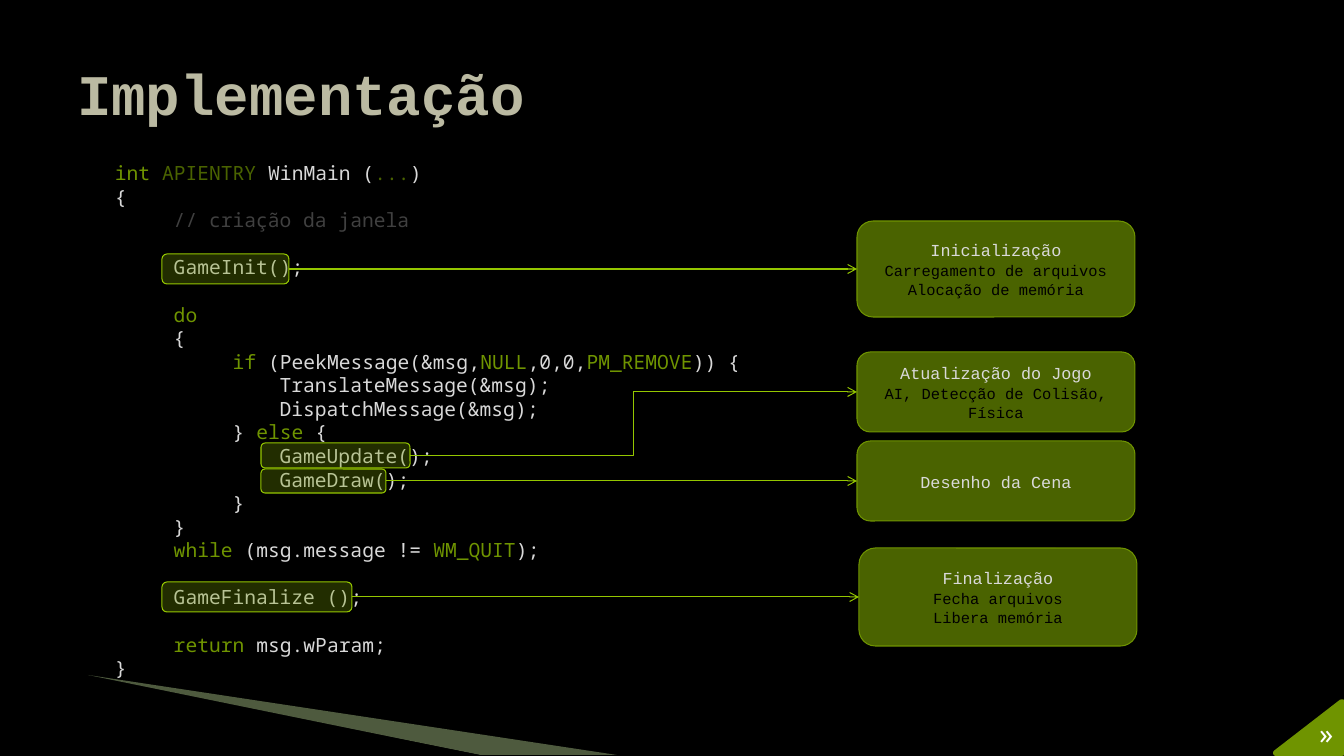
from lxml.etree import SubElement
from pptx import Presentation
from pptx.dml.color import RGBColor
from pptx.enum.shapes import MSO_CONNECTOR as Connector, MSO_SHAPE as Preset
from pptx.enum.text import MSO_ANCHOR as Anchor, PP_ALIGN as Align
from pptx.oxml.ns import qn
from pptx.util import Pt

PX = 914400 / 100.8
TITLE_ONLY = 5
LEFT_SITE, RIGHT_SITE = 1, 3

BLACK = RGBColor(0x00, 0x00, 0x00)
WHITE = RGBColor(0xFF, 0xFF, 0xFF)
SAND = RGBColor(0xBB, 0xBA, 0xA2)
LIGHT = RGBColor(0xD9, 0xD9, 0xD9)
GRAY = RGBColor(0x40, 0x40, 0x40)
GREEN = RGBColor(0x6F, 0x94, 0x00)
DARK_GREEN = RGBColor(0x4A, 0x63, 0x00)
LIME = RGBColor(0x94, 0xC6, 0x00)
PALE_GREEN = RGBColor(0xC3, 0xE1, 0x9D)

TITLE = {"name": "Courier New", "size": Pt(41), "bold": True}
CODE = {"name": "Noto Sans Mono", "size": Pt(14)}
HEADING = {"name": "Courier New", "size": Pt(12)}
DETAIL = {"name": "Courier New", "size": Pt(11)}
MARK = {"name": "Noto Sans Mono", "size": Pt(20)}
CODE_PITCH = Pt(16.84)

CODE_BLOCKS = [
    [
        [("int ", GREEN), ("APIENTRY ", DARK_GREEN), ("WinMain (", LIGHT),
         ("...", DARK_GREEN), (")", LIGHT)],
        [("{", LIGHT)],
        [("     // criação da janela", GRAY)],
    ],
    [[("     GameInit();", LIGHT)]],
    [
        [("     do", GREEN)],
        [("     {", LIGHT)],
        [("          if ", GREEN), ("(PeekMessage(&msg,", LIGHT), ("NULL", GREEN),
         (",0,0,", LIGHT), ("PM_REMOVE", GREEN), (")) {", LIGHT)],
        [("              TranslateMessage(&msg);", LIGHT)],
        [("              DispatchMessage(&msg);", LIGHT)],
        [("          } ", LIGHT), ("else ", GREEN), ("{", LIGHT)],
        [("              GameUpdate();", LIGHT)],
        [("              GameDraw();", LIGHT)],
        [("          }", LIGHT)],
        [("     }", LIGHT)],
        [("     while", GREEN), (" (msg.message != ", LIGHT), ("WM_QUIT", GREEN),
         (");", LIGHT)],
    ],
    [[("     GameFinalize ();", LIGHT)]],
    [
        [("     return ", GREEN), ("msg.wParam;", LIGHT)],
        [("}", LIGHT)],
    ],
]

STAGES = [
    ((162, 254, 127, 30), (857, 221, 278, 96), Connector.STRAIGHT,
     "Inicialização", ["Carregamento de arquivos", "Alocação de memória"]),
    ((261, 443, 149, 25), (857, 352, 278, 80), Connector.ELBOW,
     "Atualização do Jogo", ["AI, Detecção de Colisão, Física"]),
    ((261, 469, 125, 24), (857, 441, 278, 80), Connector.STRAIGHT,
     "Desenho da Cena", []),
    ((162, 582, 190, 30), (859, 548, 278, 98), Connector.STRAIGHT,
     "Finalização", ["Fecha arquivos", "Libera memória"]),
]


def px(*values):
    return [round(value * PX) for value in values]


class SlideBuilder:
    def __init__(self, presentation):
        self.slide = presentation.slides.add_slide(presentation.slide_layouts[TITLE_ONLY])
        self.shapes = self.slide.shapes
        background = self.slide.background.fill
        background.solid()
        background.fore_color.rgb = BLACK

    def add_text(self, paragraph, text, style, color):
        run = paragraph.add_run()
        run.text = text
        for name, value in style.items():
            setattr(run.font, name, value)
        run.font.color.rgb = color

    def paint(self, shape, fill, line=None, weight=0.75, opacity=100):
        shape.shadow.inherit = False
        shape.fill.solid()
        shape.fill.fore_color.rgb = fill
        if opacity < 100:
            color = shape._element.spPr.find(qn("a:solidFill"))[0]
            SubElement(color, qn("a:alpha"), val=str(opacity * 1000))
        if line is None:
            shape.line.fill.background()
        else:
            shape.line.color.rgb = line
            shape.line.width = Pt(weight)

    def title(self, bounds, text):
        shape = self.shapes.title
        for name, value in zip(("left", "top", "width", "height"), px(*bounds)):
            setattr(shape, name, value)
        shape.text_frame.vertical_anchor = Anchor.MIDDLE
        paragraph = shape.text_frame.paragraphs[0]
        paragraph.alignment = Align.LEFT
        self.add_text(paragraph, text, TITLE, SAND)

    def polygon(self, points, fill, **look):
        builder = self.shapes.build_freeform(*points[0], scale=PX)
        builder.add_line_segments(points[1:], close=True)
        self.paint(builder.convert_to_shape(), fill, **look)

    def text_box(self, bounds, wrap=True):
        frame = self.shapes.add_textbox(*px(*bounds)).text_frame
        frame.word_wrap = wrap
        return frame

    def code(self, bounds, blocks):
        frame = self.text_box(bounds)
        paragraph = frame.paragraphs[0]
        for block_index, block in enumerate(blocks):
            for line_index, line in enumerate(block):
                if block_index or line_index:
                    paragraph = frame.add_paragraph()
                if block_index and not line_index:
                    paragraph.space_before = CODE_PITCH
                paragraph.line_spacing = CODE_PITCH
                for text, color in line:
                    self.add_text(paragraph, text, CODE, color)

    def rounded_box(self, bounds, fill, line, opacity=100):
        shape = self.shapes.add_shape(Preset.ROUNDED_RECTANGLE, *px(*bounds))
        self.paint(shape, fill, line, opacity=opacity)
        return shape

    def stage(self, bounds, heading, details):
        shape = self.rounded_box(bounds, DARK_GREEN, GREEN)
        frame = shape.text_frame
        frame.word_wrap = True
        frame.vertical_anchor = Anchor.MIDDLE
        self.add_text(frame.paragraphs[0], heading, HEADING, LIGHT)
        for detail in details:
            self.add_text(frame.add_paragraph(), detail, DETAIL, BLACK)
        for paragraph in frame.paragraphs:
            paragraph.alignment = Align.CENTER
            paragraph.line_spacing = 1.05
        return shape

    def arrow(self, kind, source, target):
        connector = self.shapes.add_connector(kind, 0, 0, 0, 0)
        connector.begin_connect(source, RIGHT_SITE)
        connector.end_connect(target, LEFT_SITE)
        connector.line.color.rgb = LIME
        connector.line.width = Pt(0.75)
        properties = connector._element.spPr
        SubElement(properties.find(qn("a:ln")), qn("a:tailEnd"), type="arrow")
        SubElement(properties, qn("a:effectLst"))


def main():
    presentation = Presentation()
    presentation.slide_width, presentation.slide_height = px(1344, 756)
    builder = SlideBuilder(presentation)
    builder.polygon([(88, 675), (617, 755), (480, 755)], PALE_GREEN, opacity=40)
    builder.polygon([(85, 677), (480, 755), (397, 755)], BLACK)
    builder.title((67, 30, 1210, 126), "Implementação")
    builder.code((105, 156, 1135, 532), CODE_BLOCKS)
    for call_bounds, stage_bounds, kind, heading, details in STAGES:
        stage = builder.stage(stage_bounds, heading, details)
        call = builder.rounded_box(call_bounds, GREEN, LIME, opacity=31)
        builder.arrow(kind, call, stage)
    builder.polygon([(1276, 753), (1342, 702), (1342, 753)], GREEN, line=GREEN, weight=4.33)
    mark = builder.text_box((1308, 712, 36, 44), wrap=False)
    builder.add_text(mark.paragraphs[0], "»", MARK, WHITE)
    presentation.save("out.pptx")


if __name__ == "__main__":
    main()
